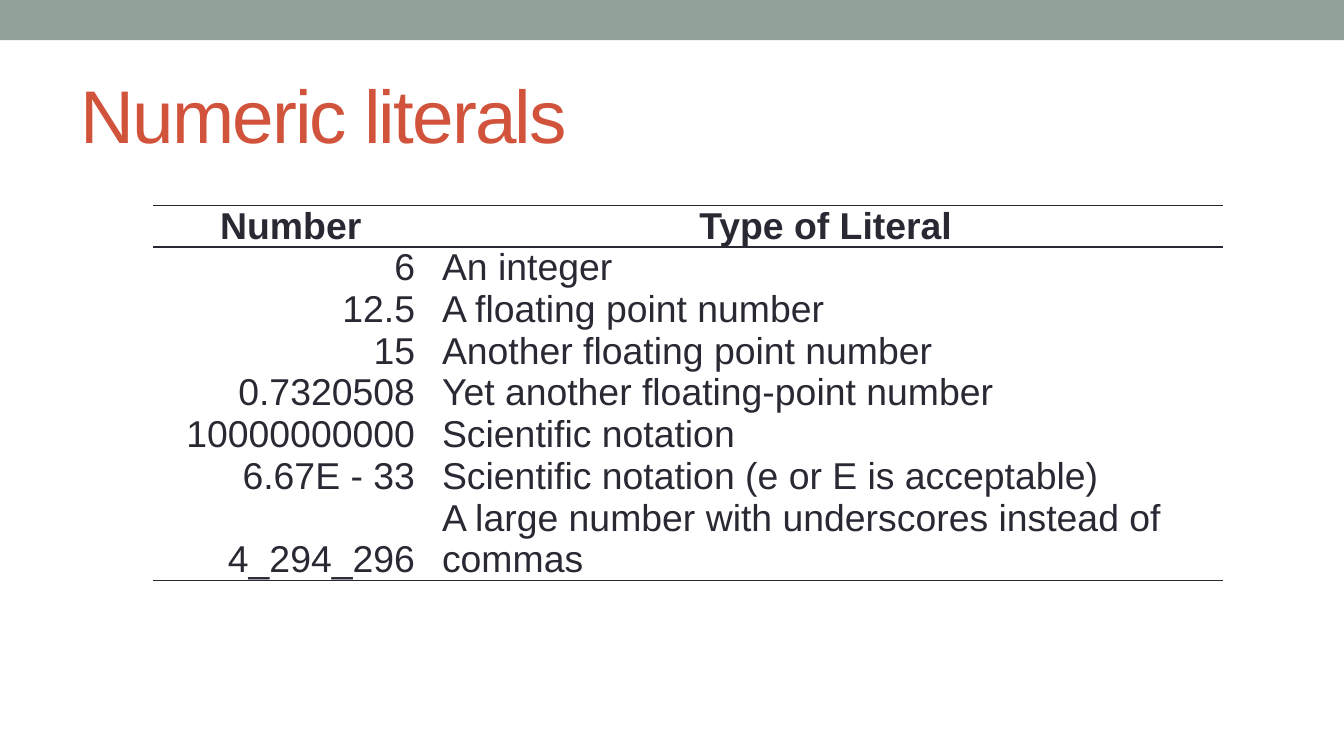
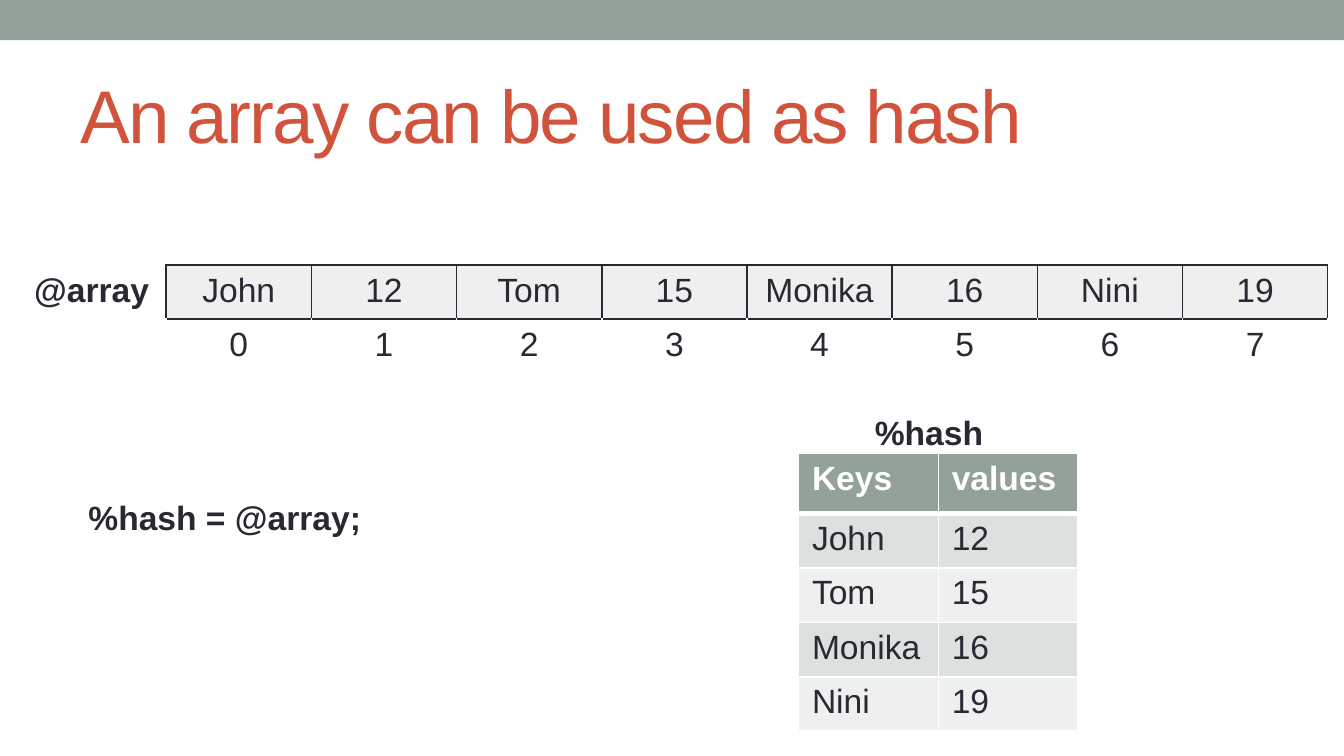
from pptx import Presentation
from pptx.dml.color import RGBColor
from pptx.enum import shapes, text
from pptx.oxml import ns, xmlchemy
from pptx.util import Pt

FONT = "Arial"
SAGE, RUST, INK, WHITE = "93A299", "D2533C", "292934", "FFFFFF"
PALE, GREY = "EEF0EF", "DCE0DE"
LEFT, CENTER, RIGHT = text.PP_ALIGN.LEFT, text.PP_ALIGN.CENTER, text.PP_ALIGN.RIGHT
TOP, MIDDLE, BOTTOM = text.MSO_ANCHOR.TOP, text.MSO_ANCHOR.MIDDLE, text.MSO_ANCHOR.BOTTOM
WIDTH, HEIGHT = 720, 405
SIDES = {"l": "a:lnL", "r": "a:lnR", "t": "a:lnT", "b": "a:lnB"}


def colour(hex_string):
    return RGBColor.from_string(hex_string)


def write(frame, words, size=18, color=INK, bold=False, align=LEFT, spacing=None):
    para = frame.paragraphs[0]
    para.alignment = align
    span = para.add_run()
    span.text = words
    span.font.name = FONT
    span.font.size = Pt(size)
    span.font.bold = bold
    span.font.color.rgb = colour(color)
    if spacing is not None:
        span.font._element.set("spc", str(spacing * 100))


# Shared parts
def add_band(deck, page):
    """Draw the top band and move it to the master, behind all else."""
    band = page.shapes.add_shape(shapes.MSO_SHAPE.RECTANGLE, 0, 0, Pt(WIDTH), Pt(21.6))
    band.shadow.inherit = False
    band.fill.solid()
    band.fill.fore_color.rgb = colour(SAGE)
    band.line.fill.background()
    deck.slide_master.shapes.element.insert(2, band.element)


def add_page(deck, heading):
    page = deck.slides.add_slide(deck.slide_layouts[5])
    title = page.shapes.title
    title.left, title.top, title.width, title.height = Pt(36), Pt(31.5), Pt(648), Pt(58.5)
    title.text_frame.vertical_anchor = MIDDLE
    write(title.text_frame, heading, size=40, color=RUST, spacing=-1)
    return page


def add_label(page, box, words):
    left, top, width, height = map(Pt, box)
    frame = page.shapes.add_textbox(left, top, width, height).text_frame
    frame.word_wrap = True
    write(frame, words, bold=True)


# Tables
def set_edges(cell, edges):
    props = cell._tc.get_or_add_tcPr()
    for side, tag in SIDES.items():
        color, weight = edges.get(side, (None, 0))
        line = xmlchemy.OxmlElement(tag)
        line.set("w", str(Pt(weight)))
        props.append(line)
        fill = xmlchemy.OxmlElement("a:solidFill" if color else "a:noFill")
        line.append(fill)
        if color:
            value = xmlchemy.OxmlElement("a:srgbClr")
            value.set("val", color)
            fill.append(value)


def style_cell(cell, words, edges, fill=None, anchor=TOP, pad=3.6, **style):
    set_edges(cell, edges)
    if fill:
        cell.fill.solid()
        cell.fill.fore_color.rgb = colour(fill)
    else:
        cell.fill.background()
    cell.vertical_anchor = anchor
    cell.margin_top = cell.margin_bottom = Pt(pad)
    write(cell.text_frame, words, **style)


def add_grid(page, corner, widths, heights, rows, look):
    """Build a table; look(row, column) gives the format of each cell."""
    left, top = corner
    table = page.shapes.add_table(len(rows), len(widths), Pt(left), Pt(top),
                                  Pt(sum(widths)), Pt(sum(heights))).table
    table.first_row = table.horz_banding = False
    for column, width in zip(table.columns, widths):
        column.width = Pt(width)
    for row, height in zip(table.rows, heights):
        row.height = Pt(height)
    for r, values in enumerate(rows):
        for c, words in enumerate(values):
            style_cell(table.cell(r, c), words, **look(r, c))


def add_literals(page, corner):
    rows = [
        ("Number", "Type of Literal"),
        ("6", "An integer"),
        ("12.5", "A floating point number"),
        ("15", "Another floating point number"),
        ("0.7320508", "Yet another floating-point number"),
        ("10000000000", "Scientific notation"),
        ("6.67E - 33", "Scientific notation (e or E is acceptable)"),
        ("4_294_296", "A large number with underscores instead of commas"),
    ]
    last = len(rows) - 1

    def look(r, c):
        edges = {}
        if r in (0, 1):
            edges["t"] = (INK, 1)
        if r in (0, last):
            edges["b"] = (INK, 1)
        align = CENTER if r == 0 else (RIGHT, LEFT)[c]
        return dict(edges=edges, anchor=BOTTOM, pad=0, size=20, bold=r == 0, align=align)

    line = 22.3
    add_grid(page, corner, [147.6, 425.5], [line] * last + [2 * line], rows, look)


def add_array(page, corner, values):
    count = len(values)
    rows = [values, [str(i) for i in range(count)]]

    def look(r, c):
        edges = dict.fromkeys("lrtb", (INK if r == 0 else WHITE, 1))
        edges["t"] = (INK, 1)
        return dict(edges=edges, fill=None if r else PALE, align=CENTER)

    left, top = corner
    add_label(page, (left - 77.8, top - 1.4, 83.5, 28.8), "@array")
    add_grid(page, corner, [77.8] * count, [27.4, 29.2], rows, look)


def add_hash(page, corner, values):
    rows = [("Keys", "values"), *zip(values[::2], values[1::2])]

    def look(r, c):
        edges = dict.fromkeys("lrtb", (WHITE, 1))
        if r < 2:
            edges["tb"[r == 0]] = (WHITE, 3)
        fill = SAGE if r == 0 else (PALE, GREY)[r % 2]
        return dict(edges=edges, fill=fill, bold=r == 0, color=INK if r else WHITE)

    left, top = corner
    add_grid(page, corner, [74.9] * 2, [32] + [29.2] * (len(rows) - 1), rows, look)
    add_label(page, (left + 33.8, top - 25.9, 83.5, 28.8), "%hash")


def main():
    deck = Presentation()
    deck.slide_width, deck.slide_height = Pt(WIDTH), Pt(HEIGHT)

    # Numeric literals
    page = add_page(deck, "Numeric literals")
    add_band(deck, page)
    add_literals(page, (82, 110))

    # Array as hash
    page = add_page(deck, "An array can be used as hash")
    people = ["John", "12", "Tom", "15", "Monika", "16", "Nini", "19"]
    add_hash(page, (427.8, 243), people)
    add_array(page, (89, 142), people)
    add_label(page, (40.3, 262.8, 161.3, 28.8), "%hash = @array;")

    deck.save("out.pptx")


if __name__ == "__main__":
    main()
